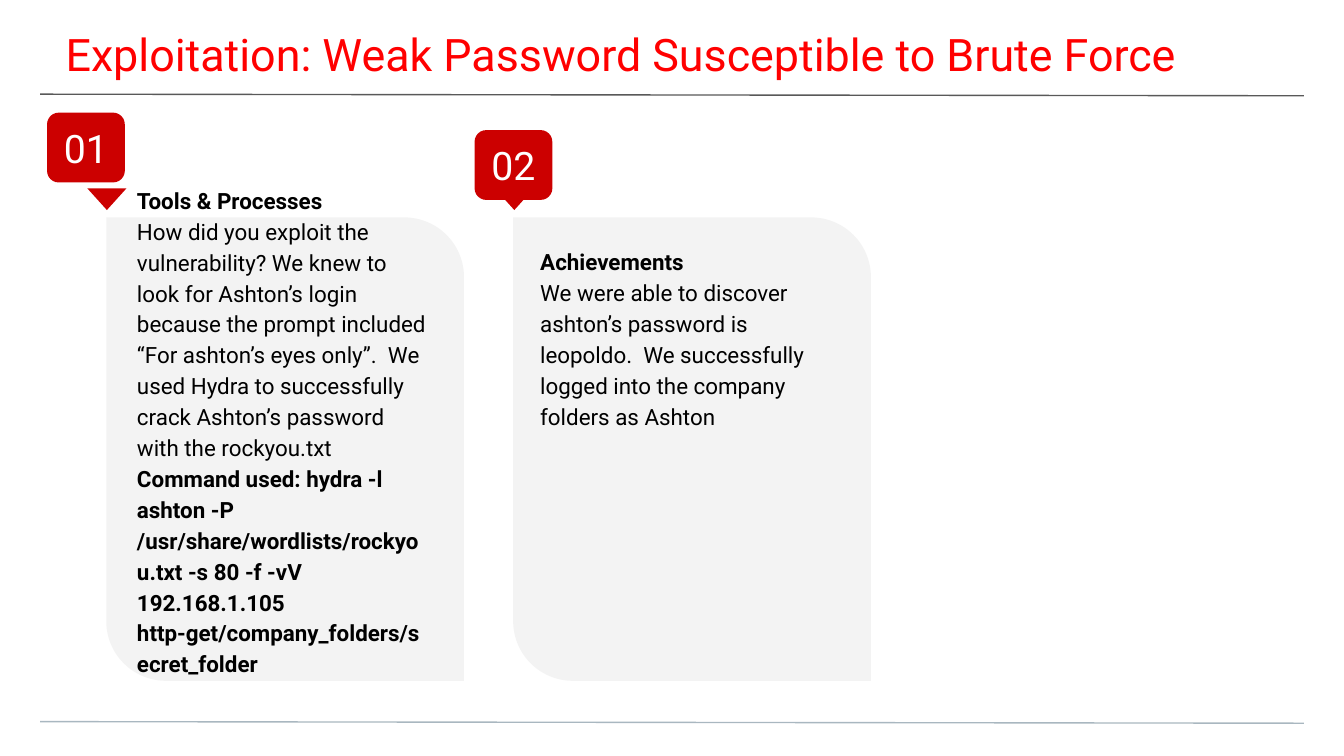
import lxml.etree
import pptx
import pptx.dml.color
import pptx.enum.shapes
import pptx.enum.text
import pptx.oxml.ns
import pptx.util

Cm = pptx.util.Cm
Shape = pptx.enum.shapes.MSO_SHAPE
Align = pptx.enum.text.PP_ALIGN
Anchor = pptx.enum.text.MSO_ANCHOR

PANEL_TOP, PANEL_WIDTH, PANEL_HEIGHT = 4.11, 6.76, 8.76
POINTER_TOP = 3.56


class SlideBuilder:
    font = "Roboto"
    colors = {
        "title": "FF0000",
        "accent": "CC0000",
        "panel": "F3F3F3",
        "text": "000000",
        "badge_text": "FFFFFF",
        "top_rule": "595959",
        "bottom_rule": "A9B7C0",
    }

    def __init__(self, slide):
        self.slide = slide

    def color(self, name):
        return pptx.dml.color.RGBColor.from_string(self.colors[name])

    def rule(self, top, color):
        line = self.slide.shapes.add_connector(
            pptx.enum.shapes.MSO_CONNECTOR.STRAIGHT,
            Cm(0.76), Cm(top), Cm(24.64), Cm(top + 0.03))
        line.line.color.rgb = self.color(color)
        line.line.width = pptx.util.Pt(0.75)
        lxml.etree.SubElement(line._element.spPr, pptx.oxml.ns.qn("a:effectLst"))

    def shape(self, kind, left, top, width, height, color, adjustments=()):
        shape = self.slide.shapes.add_shape(kind, Cm(left), Cm(top), Cm(width), Cm(height))
        shape.shadow.inherit = False
        shape.fill.solid()
        shape.fill.fore_color.rgb = self.color(color)
        shape.line.fill.background()
        for index, value in enumerate(adjustments):
            shape.adjustments[index] = value
        return shape

    def set_text(self, shape, paragraphs, size, color, insets,
                 align=Align.LEFT, anchor=Anchor.TOP, spacing=1.0):
        """Fill a shape with (text, bold) paragraphs; insets run left, top, right, bottom."""
        frame = shape.text_frame
        frame.word_wrap = True
        frame.vertical_anchor = anchor
        (frame.margin_left, frame.margin_top,
         frame.margin_right, frame.margin_bottom) = [Cm(inset) for inset in insets]
        frame.text = "\n".join(text for text, bold in paragraphs)
        for para, (text, bold) in zip(frame.paragraphs, paragraphs):
            para.alignment = align
            para.line_spacing = spacing
            for span in para.runs:
                span.font.name = self.font
                span.font.size = pptx.util.Pt(size)
                span.font.bold = bold
                span.font.color.rgb = self.color(color)

    def text_box(self, left, top, width, height, paragraphs, **style):
        box = self.slide.shapes.add_textbox(Cm(left), Cm(top), Cm(width), Cm(height))
        self.set_text(box, paragraphs, **style)

    def title(self, text):
        self.text_box(-0.03, 0, 25.48, 1.47, [(text, False)],
                      size=24, color="title", insets=(1.27, 0.51, 0.76, 0.25))

    def panel(self, left):
        self.shape(Shape.ROUND_2_DIAG_RECTANGLE, left, PANEL_TOP,
                   PANEL_WIDTH, PANEL_HEIGHT, "panel", (0, 0.167))

    def body(self, left, top, width, paragraphs):
        self.text_box(left, top, width, PANEL_HEIGHT, paragraphs,
                      size=12, color="text", insets=(0.51,) * 4, spacing=1.15)

    def badge(self, number, left, top, pointer_left):
        badge = self.shape(Shape.ROUNDED_RECTANGLE, left, top, 1.47, 1.32, "accent", (0.167,))
        self.set_text(badge, [(number, False)], size=21, color="badge_text",
                      insets=(0.25,) * 4, align=Align.CENTER, anchor=Anchor.MIDDLE)
        pointer = self.shape(Shape.FLOWCHART_EXTRACT, pointer_left, POINTER_TOP,
                             0.74, 0.41, "accent")
        pointer.rotation = 180


def main():
    deck = pptx.Presentation()
    deck.slide_width, deck.slide_height = Cm(25.4), Cm(14.29)
    page = SlideBuilder(deck.slides.add_slide(deck.slide_layouts[6]))

    page.rule(1.78, "top_rule")
    page.rule(13.64, "bottom_rule")
    page.title("Exploitation: Weak Password Susceptible to Brute Force")

    page.panel(2.01)
    page.body(2.08, 2.95, 6.58, [
        ("Tools & Processes", True),
        ("How did you exploit the vulnerability? We knew to look for Ashton’s login "
         "because the prompt included “For ashton’s eyes only”.  We used Hydra to "
         "successfully crack Ashton’s password with the rockyou.txt", False),
        ("Command used: hydra -l ashton -P /usr/share/wordlists/rockyou.txt -s 80 -f -vV "
         "192.168.1.105 http-get/company_folders/secret_folder", True),
    ])
    page.badge("01", 0.89, 2.13, pointer_left=1.65)

    page.badge("02", 8.97, 2.46, pointer_left=9.35)
    page.panel(9.7)
    page.body(9.7, PANEL_TOP, PANEL_WIDTH, [
        ("Achievements", True),
        ("We were able to discover ashton’s password is leopoldo.  We successfully "
         "logged into the company folders as Ashton", False),
    ])

    deck.save("out.pptx")


if __name__ == "__main__":
    main()
